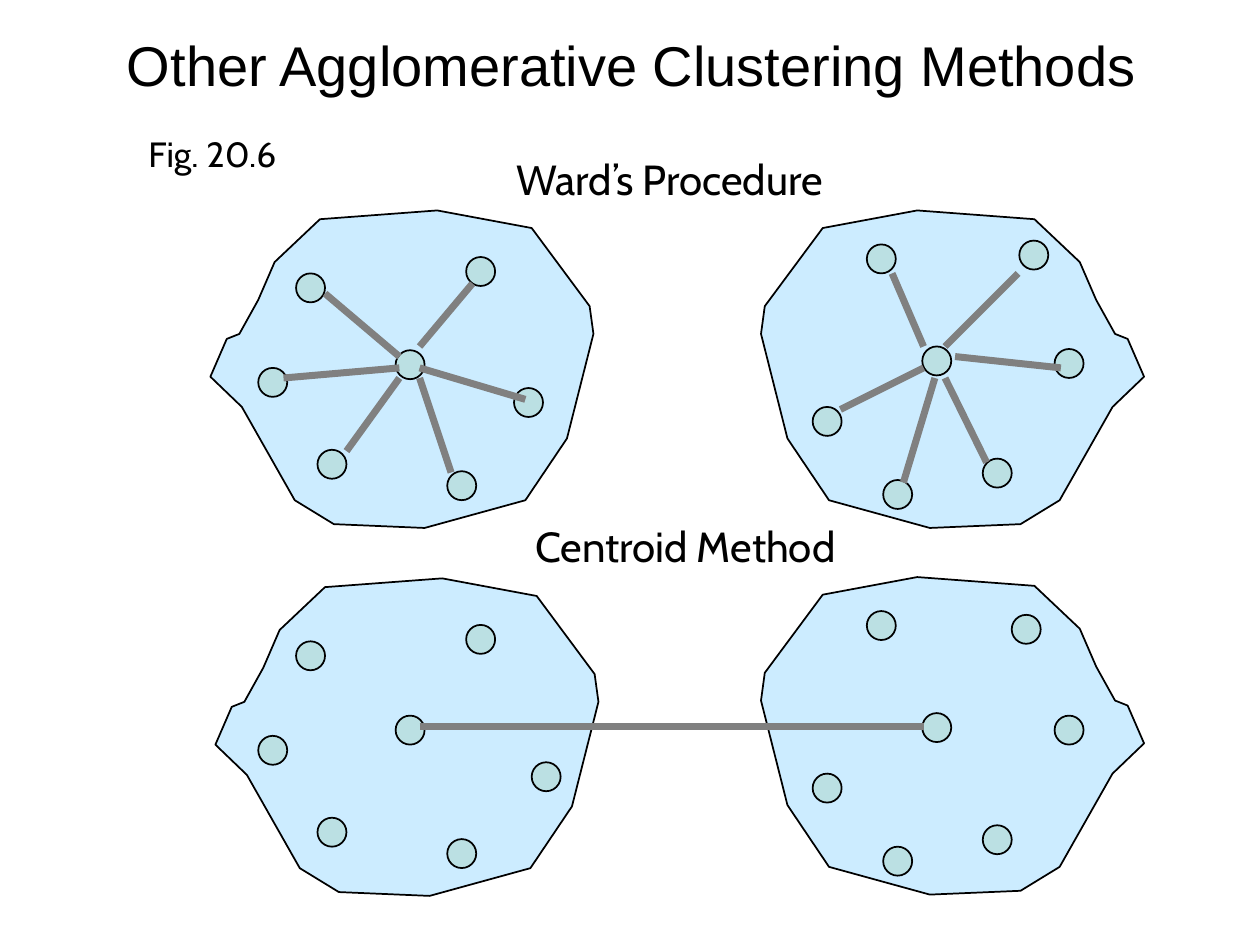
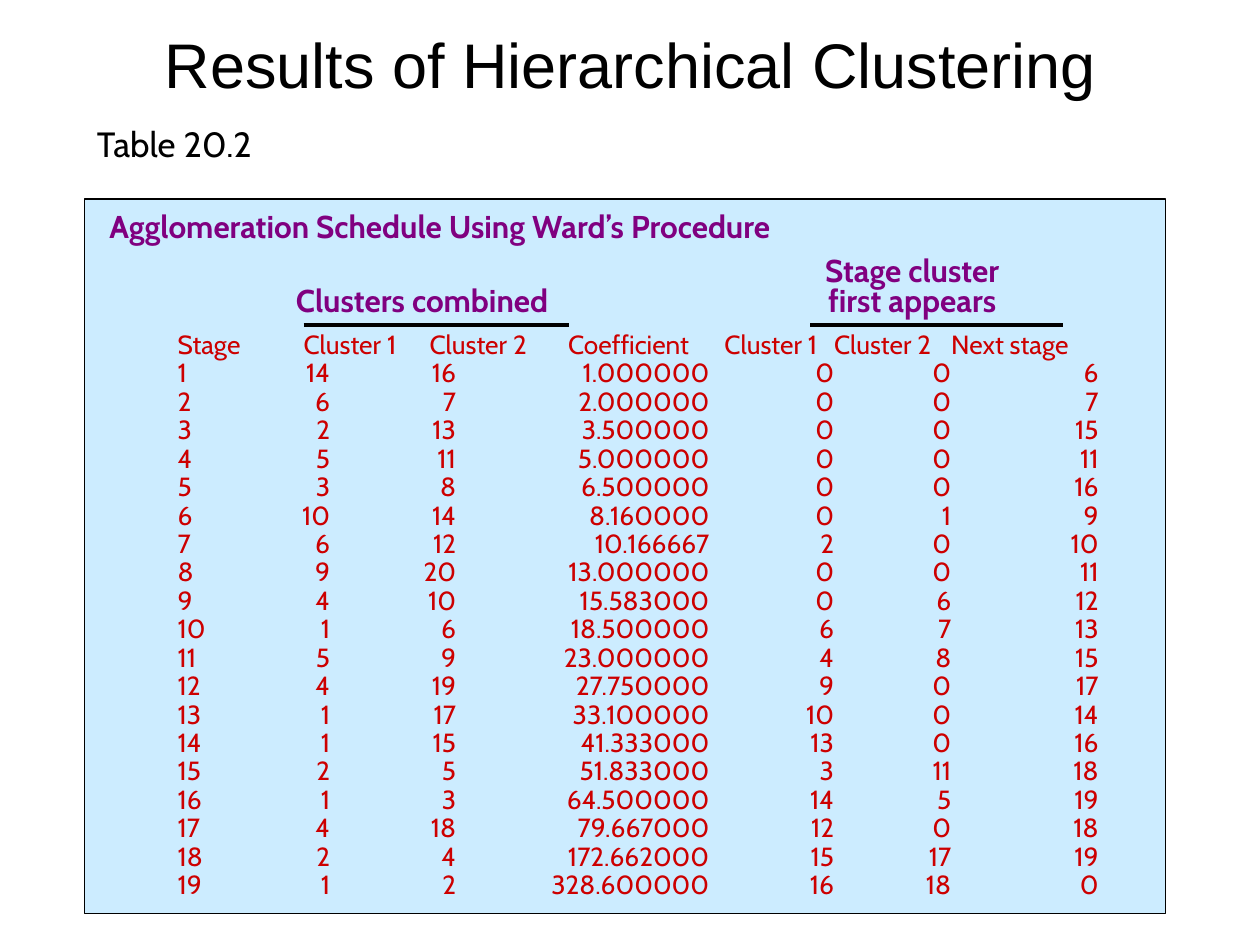
"""Builds two slides on agglomerative clustering methods and their results."""
from lxml import etree
from pptx import Presentation
from pptx.dml.color import RGBColor
from pptx.enum.shapes import MSO_CONNECTOR as Connector, MSO_SHAPE as Shape
from pptx.enum.text import MSO_ANCHOR as Anchor, MSO_AUTO_SIZE as AutoSize, PP_ALIGN as Align
from pptx.oxml.ns import qn
from pptx.util import Inches, Pt

COLORS = {"ink": "000000", "panel": "CCECFF", "dot": "BBE0E3", "link": "808080",
          "heading": "800080", "data": "CC0000"}
TITLE_FONT, BODY_FONT = "Arial", "Cabin"
PLAIN_TABLE_STYLE = "{2D5ABB26-0587-4C30-8999-92F81FD0307C}"
DOT_SIZE = 0.23
MIRROR_SUM = 10.75

OUTLINE = [(2.54, 1.74), (3.47, 1.67), (4.22, 1.81), (4.68, 2.43), (4.71, 2.65), (4.5, 3.48),
           (4.17, 3.97), (3.37, 4.19), (2.65, 4.16), (2.34, 3.97), (1.92, 3.23), (1.67, 2.99),
           (1.8, 2.69), (1.9, 2.65), (2.05, 2.38), (2.18, 2.08)]
MIRRORED_OUTLINE = [(MIRROR_SUM - x, y) for x, y in OUTLINE]
LEFT_DOTS = [(2.35, 2.17), (3.7, 2.04), (3.55, 3.74), (2.52, 3.57), (2.05, 2.92)]
RIGHT_DOTS = [(6.45, 3.23), (6.88, 1.94), (8.37, 2.77), (7.8, 3.64), (7.01, 3.81), (7.32, 2.75)]
WARD_SPOKES = [
    ((2.58, 2.33), (3.17, 2.83)), ((3.75, 2.25), (3.33, 2.75)), ((3.33, 2.92), (4.17, 3.17)),
    ((3.33, 3), (3.58, 3.75)), ((3.17, 3), (2.75, 3.58)), ((3.17, 2.92), (2.25, 3)),
    ((6.67, 3.25), (7.33, 2.92)), ((7.08, 2.17), (7.33, 2.75)), ((7.5, 2.75), (8.08, 2.17)),
    ((7.58, 2.83), (8.42, 2.92)), ((7.5, 3), (7.83, 3.67)), ((7.42, 3), (7.17, 3.83))]

COLUMN_EDGES = [1.41, 2.3, 3.3, 4.3, 5.75, 6.62, 7.55, 8.75]
HEADER_LEFT_MARGINS = [0, 0.11, 0.11, 0.21, 0, 0, 0]
VALUE_RIGHT_MARGINS = [0, 0.68, 0.68, 0.12, 0, 0, 0.03]
ROW_HEIGHT = 0.225
HEADERS = ["Stage", "Cluster 1", "Cluster 2", "Coefficient", "Cluster 1", "Cluster 2", "Next stage"]
SCHEDULE = [
    (14, 16, "1.000000", 0, 0, 6), (6, 7, "2.000000", 0, 0, 7), (2, 13, "3.500000", 0, 0, 15),
    (5, 11, "5.000000", 0, 0, 11), (3, 8, "6.500000", 0, 0, 16), (10, 14, "8.160000", 0, 1, 9),
    (6, 12, "10.166667", 2, 0, 10), (9, 20, "13.000000", 0, 0, 11),
    (4, 10, "15.583000", 0, 6, 12), (1, 6, "18.500000", 6, 7, 13),
    (5, 9, "23.000000", 4, 8, 15), (4, 19, "27.750000", 9, 0, 17),
    (1, 17, "33.100000", 10, 0, 14), (1, 15, "41.333000", 13, 0, 16),
    (2, 5, "51.833000", 3, 11, 18), (1, 3, "64.500000", 14, 5, 19),
    (4, 18, "79.667000", 12, 0, 18), (2, 4, "172.662000", 15, 17, 19),
    (1, 2, "328.600000", 16, 18, 0)]


def color(name):
    return RGBColor.from_string(COLORS[name])


def format_text(frame, size, ink="ink", font=BODY_FONT, bold=False, align=Align.LEFT, spacing=None):
    for para in frame.paragraphs:
        para.alignment = align
        para.line_spacing = spacing
        for span in para.runs:
            span.font.size = Pt(size)
            span.font.name = font
            span.font.bold = bold
            span.font.color.rgb = color(ink)


def add_titled_slide(deck, title, left, width, size):
    slide = deck.slides.add_slide(deck.slide_layouts[5])
    box = slide.shapes.title
    box.left, box.top, box.width, box.height = map(Inches, (left, 0.17, width, 0.67))
    frame = box.text_frame
    frame.text = title
    frame.auto_size = AutoSize.NONE
    frame.vertical_anchor = Anchor.MIDDLE
    format_text(frame, size, font=TITLE_FONT, align=Align.CENTER)
    return slide


def add_label(slide, text, left, top, width, height, size, **style):
    box = slide.shapes.add_textbox(*map(Inches, (left, top, width, height)))
    box.text_frame.word_wrap = True
    box.text_frame.text = text
    format_text(box.text_frame, size, **style)


def paint(shape, fill):
    shape.shadow.inherit = False
    shape.fill.solid()
    shape.fill.fore_color.rgb = color(fill)
    shape.line.color.rgb = color("ink")
    shape.line.width = Pt(1)


def add_line(slide, start, end, ink, weight):
    line = slide.shapes.add_connector(Connector.STRAIGHT, *map(Inches, (*start, *end)))
    line.line.color.rgb = color(ink)
    line.line.width = Pt(weight)
    etree.SubElement(line._element.spPr, qn("a:effectLst"))


def shift(points, right, down):
    return [(x + right, y + down) for x, y in points]


def add_cluster(slide, outline, dots):
    corners = [(Inches(x), Inches(y)) for x, y in outline]
    builder = slide.shapes.build_freeform(*corners[0])
    builder.add_line_segments(corners[1:], close=True)
    paint(builder.convert_to_shape(), "panel")
    for x, y in dots:
        dot = slide.shapes.add_shape(Shape.OVAL, *map(Inches, (x, y, DOT_SIZE, DOT_SIZE)))
        paint(dot, "dot")


def fill_cell(cell, text, align, left_margin=0, right_margin=0):
    cell.fill.background()
    cell.margin_top = cell.margin_bottom = 0
    cell.margin_left, cell.margin_right = Inches(left_margin), Inches(right_margin)
    cell.text = str(text)
    format_text(cell.text_frame, 15, "data", align=align, spacing=Inches(ROW_HEIGHT))


def add_schedule(slide):
    rows = [(stage, *values) for stage, values in enumerate(SCHEDULE, 1)]
    table = slide.shapes.add_table(
        len(rows) + 1, len(HEADERS), Inches(COLUMN_EDGES[0]), Inches(2.64),
        Inches(COLUMN_EDGES[-1] - COLUMN_EDGES[0]), Inches(ROW_HEIGHT * (len(rows) + 1))).table
    table.first_row = table.horz_banding = False
    table._tbl.tblPr.find(qn("a:tableStyleId")).text = PLAIN_TABLE_STYLE
    for row in table.rows:
        row.height = Inches(ROW_HEIGHT)
    for index, header in enumerate(HEADERS):
        table.columns[index].width = Inches(COLUMN_EDGES[index + 1] - COLUMN_EDGES[index])
        fill_cell(table.cell(0, index), header, Align.LEFT,
                  left_margin=HEADER_LEFT_MARGINS[index])
        align = Align.RIGHT if index else Align.LEFT
        for number, values in enumerate(rows, 1):
            fill_cell(table.cell(number, index), values[index], align,
                      right_margin=VALUE_RIGHT_MARGINS[index])


def build_methods_slide(deck):
    slide = add_titled_slide(deck, "Other Agglomerative Clustering Methods", 0.25, 9.53, 32)
    add_label(slide, "Fig. 20.6", 1.08, 1, 1.99, 0.43, 20)
    add_label(slide, "Ward’s Procedure", 3.56, 1.17, 3.51, 0.5, 24, align=Align.CENTER)
    add_cluster(slide, OUTLINE, LEFT_DOTS + [(4.08, 3.08), (3.14, 2.78)])
    add_cluster(slide, MIRRORED_OUTLINE, RIGHT_DOTS + [(8.09, 1.91)])
    for start, end in WARD_SPOKES:
        add_line(slide, start, end, "link", 4)

    add_label(slide, "Centroid Method", 3.81, 4.08, 3.26, 0.5, 24, align=Align.CENTER)
    add_cluster(slide, shift(OUTLINE, 0.04, 2.92),
                shift(LEFT_DOTS, 0, 2.92) + [(4.22, 6.05), (3.14, 5.68)])
    add_cluster(slide, shift(MIRRORED_OUTLINE, 0, 2.91),
                shift(RIGHT_DOTS, 0, 2.91) + [(8.03, 4.88)])
    add_line(slide, (3.33, 5.77), (7.33, 5.77), "link", 4)


def build_results_slide(deck):
    slide = add_titled_slide(deck, "Results of Hierarchical Clustering", 0.67, 8.67, 36)
    add_label(slide, "Table 20.2", 0.67, 0.92, 1.99, 0.43, 20)
    panel = slide.shapes.add_shape(Shape.RECTANGLE, *map(Inches, (0.67, 1.58, 8.58, 5.67)))
    paint(panel, "panel")
    heading = {"size": 18, "ink": "heading", "bold": True}
    add_label(slide, "Agglomeration Schedule Using Ward’s Procedure",
              0.77, 1.59, 6.31, 0.4, **heading)
    add_label(slide, "Clusters combined", 2.25, 2.24, 2.4, 0.34, spacing=0.8, **heading)
    add_label(slide, "Stage cluster\nfirst appears", 6.23, 2, 2.02, 0.58,
              align=Align.CENTER, spacing=0.8, **heading)
    for left, right in ((2.41, 4.52), (6.43, 8.44)):
        add_line(slide, (left, 2.58), (right, 2.58), "ink", 2)
    add_schedule(slide)


def main():
    deck = Presentation()
    deck.slide_width, deck.slide_height = Inches(10), Inches(7.5)
    build_methods_slide(deck)
    build_results_slide(deck)
    deck.save("out.pptx")


if __name__ == "__main__":
    main()
